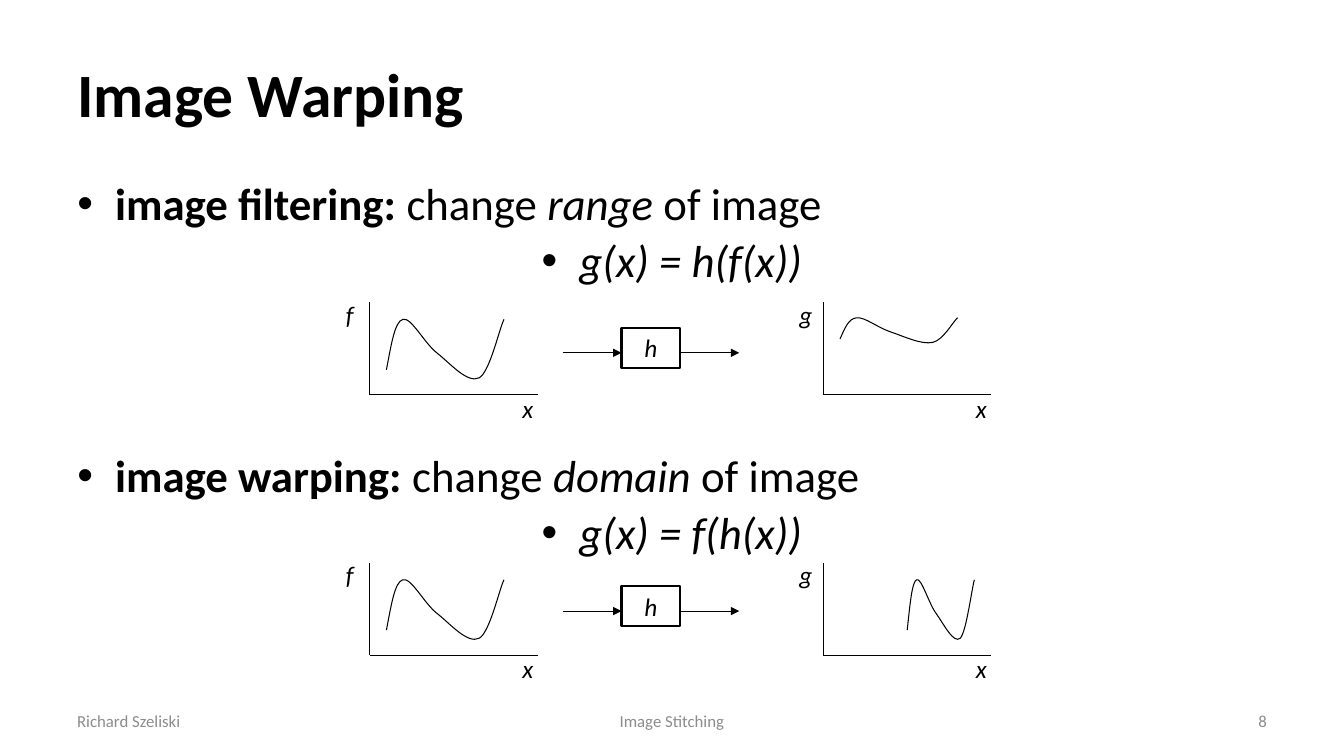
from lxml.etree import SubElement
from pptx import Presentation
from pptx.dml.color import RGBColor
from pptx.enum.shapes import MSO_CONNECTOR, MSO_SHAPE
from pptx.enum.text import MSO_ANCHOR, MSO_AUTO_SIZE, PP_ALIGN
from pptx.oxml.ns import qn
from pptx.util import Inches, Pt

COLORS = {"ink": "000000", "footer": "8C8C8C"}
FONT = "Calibri"
COLUMN = Inches(1 / 6)
ROW = Inches(1 / 12)
WAVE = [(0, .79), (.04, .43), (.07, .07), (.14, .04), (.21, 0), (.32, .39), (.43, .54),
        (.54, .69), (.69, 1), (.79, .91), (.88, .82), (.96, .18), (1, .04)]


def grid(*lengths):
    """Turn alternating columns and rows into slide lengths."""
    return [round(length * (ROW if index % 2 else COLUMN))
            for index, length in enumerate(lengths)]


def color(name):
    """Look up a named colour."""
    return RGBColor.from_string(COLORS[name])


def add_span(para, text, size=18, ink="ink", bold=False, italic=False):
    """Append formatted text to a paragraph."""
    span = para.add_run()
    span.text = text
    span.font.name = FONT
    span.font.size = Pt(size)
    span.font.bold = bold
    span.font.italic = italic
    span.font.color.rgb = color(ink)


def place(shape, box):
    """Move a shape to a box on the grid."""
    shape.left, shape.top, shape.width, shape.height = grid(*box)


def add_label(shapes, box, text, align=PP_ALIGN.LEFT, anchor=MSO_ANCHOR.TOP, **style):
    """Add a one-line text box."""
    frame = shapes.add_textbox(*grid(*box)).text_frame
    frame.word_wrap = True
    frame.vertical_anchor = anchor
    frame.paragraphs[0].alignment = align
    add_span(frame.paragraphs[0], text, **style)


def add_line(shapes, ends, arrow=False):
    """Draw a thin straight line, optionally with an arrowhead."""
    line = shapes.add_connector(MSO_CONNECTOR.STRAIGHT, *grid(*ends))
    line.line.color.rgb = color("ink")
    line.line.width = Pt(0.75)
    if arrow:
        SubElement(line.line._get_or_add_ln(), qn("a:tailEnd"), type="triangle")
    SubElement(line._element.spPr, qn("a:effectLst"))


def add_wave(shapes, box):
    """Draw the signal as cubic curves stretched to a box."""
    left, top, width, height = grid(*box)
    spots = [(round(left + x * width), round(top + y * height)) for x, y in WAVE]
    builder = shapes.build_freeform(*spots[0])
    builder.add_line_segments(spots[1:], close=False)
    wave = builder.convert_to_shape()
    wave.shadow.inherit = False
    wave.fill.background()
    wave.line.color.rgb = color("ink")
    wave.line.width = Pt(0.75)
    outline = wave._element.find(".//" + qn("a:path"))
    for index, segment in enumerate(outline.findall(qn("a:lnTo"))):
        if index % 3 == 0:
            curve = SubElement(outline, qn("a:cubicBezTo"))
        curve.append(segment[0])
        outline.remove(segment)


def add_plot(page, box, name, wave):
    """Draw grouped axes, labels and a curve placed relative to the box."""
    shapes = page.shapes.add_group_shape().shapes
    left, top, width, height = box
    right, bottom = left + width, top + height
    add_line(shapes, (left, top, left, bottom))
    add_line(shapes, (left, bottom, right, bottom))
    add_wave(shapes, (left + wave[0], top + wave[1], *wave[2:]))
    add_label(shapes, (left - 2, top - 1, 2.5, 4.8), name, italic=True)
    add_label(shapes, (right - 1.5, bottom - 0.8, 2.5, 4.8), "x", italic=True)


def add_operator(page, box):
    """Draw the grouped h box with an arrow in and an arrow out."""
    shapes = page.shapes.add_group_shape().shapes
    left, top, width, height = box
    shape = shapes.add_shape(MSO_SHAPE.RECTANGLE, *grid(*box))
    shape.shadow.inherit = False
    shape.fill.background()
    shape.line.color.rgb = color("ink")
    shape.line.width = Pt(1.5)
    shape.text_frame.vertical_anchor = MSO_ANCHOR.TOP
    para = shape.text_frame.paragraphs[0]
    para.alignment = PP_ALIGN.CENTER
    add_span(para, "h", italic=True)
    for start in (left - width, left + width):
        add_line(shapes, (start, top + 3, start + width, top + 3), arrow=True)


def add_diagram(page, top, operator_top, result_wave):
    """Draw one row: input plot, operator and result plot."""
    add_plot(page, (22, top, 10, 11), "f", (1, 1.7, 7, 8))
    add_operator(page, (37, operator_top, 3.5, 4.8))
    add_plot(page, (49, top, 10, 11), "g", result_wave)


def fill_title(page, box):
    """Format the title placeholder."""
    title = page.shapes.title
    place(title, box)
    title.text_frame.vertical_anchor = MSO_ANCHOR.MIDDLE
    para = title.text_frame.paragraphs[0]
    para.alignment = PP_ALIGN.LEFT
    add_span(para, "Image Warping", size=44, bold=True)


def fill_body(page, box):
    """Write the two definitions and their formulas in the body placeholder."""
    body = page.placeholders[1]
    place(body, box)
    frame = body.text_frame
    frame.auto_size = MSO_AUTO_SIZE.NONE
    topics = [("image filtering: ", "range", "g(x) = h(f(x))", 0, 0.9),
              ("image warping: ", "domain", "g(x) = f(h(x))", 88, 1.7)]
    for term, target, formula, gap, spacing in topics:
        heading = [(term, {"bold": True}), ("change ", {}),
                   (target, {"italic": True}), (" of image", {})]
        lines = [(heading, PP_ALIGN.LEFT, gap, spacing),
                 ([(formula, {"italic": True})], PP_ALIGN.CENTER, 6.4, 0.9)]
        for spans, align, space, line_spacing in lines:
            para = frame.add_paragraph() if frame.text else frame.paragraphs[0]
            properties = para._p.get_or_add_pPr()
            properties.set("marL", str(Pt(27)))
            properties.set("indent", str(Pt(-27)))
            SubElement(properties, qn("a:buFont"), typeface="Arial")
            SubElement(properties, qn("a:buChar"), char="•")
            para.alignment = align
            para.line_spacing = line_spacing
            para.space_before = Pt(space)
            for text, style in spans:
                add_span(para, text, size=32, **style)


def add_footer(page, top, height):
    """Add author, subject and page number along the bottom."""
    parts = [(4, 18.67, "Richard Szeliski", PP_ALIGN.LEFT),
             (27.33, 25.33, "Image Stitching", PP_ALIGN.CENTER),
             (57.33, 18.67, "8", PP_ALIGN.RIGHT)]
    for left, width, text, align in parts:
        add_label(page.shapes, (left, top, width, height), text, align,
                  MSO_ANCHOR.MIDDLE, size=12, ink="footer")


def main():
    """Build the slide and save it."""
    deck = Presentation()
    deck.slide_width, deck.slide_height = grid(80, 90)
    page = deck.slides.add_slide(deck.slide_layouts[1])
    fill_title(page, (4, 3.6, 72, 15))
    fill_body(page, (4, 21, 72, 59.4))
    add_diagram(page, 36, 39, (1, 1.7, 7, 3.36))
    add_diagram(page, 67, 69.75, (5, 1.7, 4, 8))
    add_footer(page, 83.4, 4.8)
    deck.save("out.pptx")


if __name__ == "__main__":
    main()
